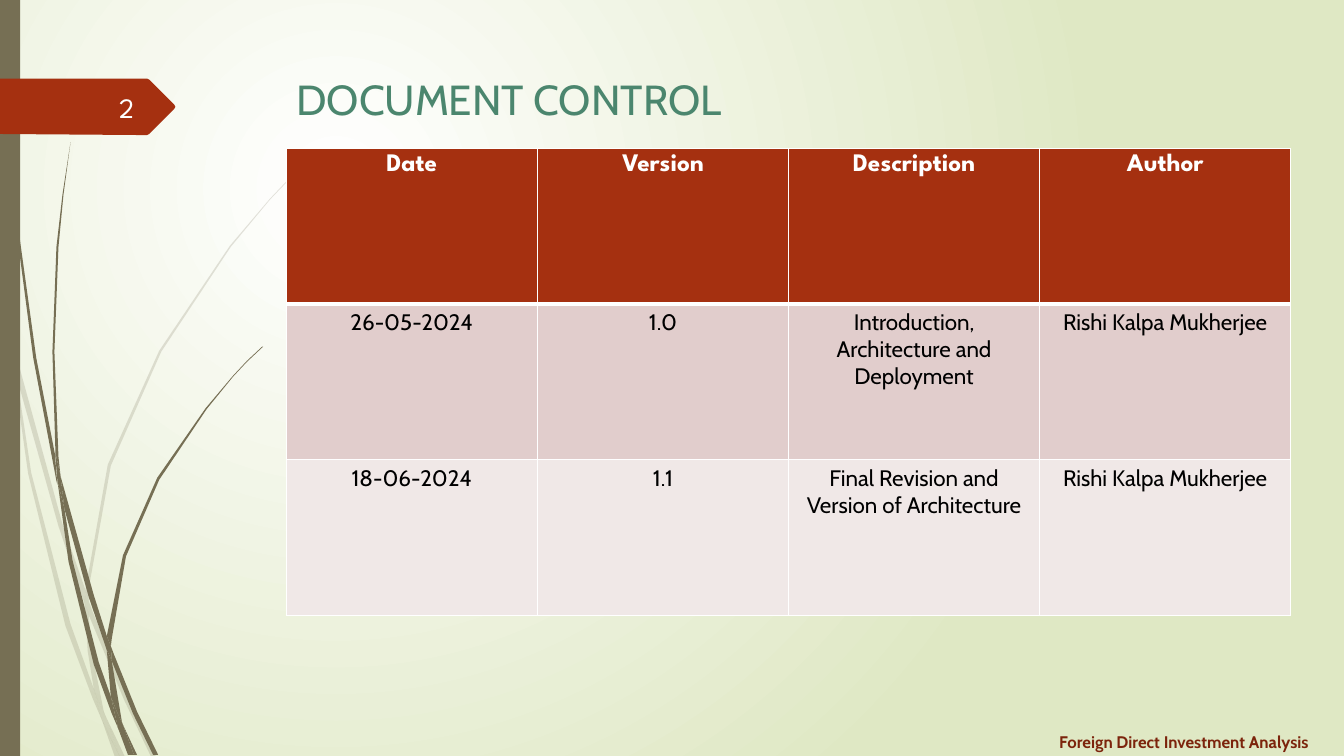
import pptx
import pptx.util
import pptx.dml.color
import pptx.enum.shapes
import pptx.enum.text
import pptx.oxml
import pptx.oxml.ns
from lxml import etree

Pt = pptx.util.Pt
ALIGN = pptx.enum.text.PP_ALIGN
ANCHOR = pptx.enum.text.MSO_ANCHOR

# Content
TITLE = "DOCUMENT CONTROL"
FOOTER = "Foreign Direct Investment Analysis"
PAGE_NUMBER = "2"
ROWS = [
    ("Date", "Version", "Description", "Author"),
    ("26-05-2024", "1.0", "Introduction, Architecture and Deployment", "Rishi Kalpa Mukherjee"),
    ("18-06-2024", "1.1", "Final Revision and Version of Architecture", "Rishi Kalpa Mukherjee"),
]
ROW_FILLS = ("A53010", "E1CDCC", "F0E8E7")
OLIVE, RUST, WHITE = "766F54", "A53010", "FFFFFF"

# Outlines on a fine grid: one unit is 0.72 points
UNIT = 0.72
PALE_GRASS = [
    [(11, 350), (9, 322), (0, 282), (0, 299), (10, 344)],
    [(58, 522), (84, 599), (85, 586), (62, 520), (14, 345), (17, 376)],
    [(92, 607), (88, 596), (88, 610), (123, 694), (150, 751), (155, 751), (127, 692)],
    [(119, 751), (124, 751), (105, 711)],
    [(93, 683), (70, 619), (31, 469), (17, 376), (11, 350), (28, 470), (65, 621),
     (92, 693), (101, 714), (99, 707)],
    [(84, 599), (87, 646), (93, 683), (96, 692), (105, 711), (103, 706), (91, 646),
     (88, 610), (88, 608)],
    [(88, 584), (110, 462), (160, 349), (229, 245), (268, 198), (290, 175), (312, 154),
     (312, 153), (289, 175), (268, 197), (228, 244), (158, 348), (107, 461), (85, 584),
     (85, 586), (88, 596)],
    [(101, 714), (114, 751), (119, 751)],
    [(88, 608), (88, 610), (88, 596), (85, 586), (84, 599)],
    [(96, 692), (93, 683), (99, 707), (101, 714), (119, 751), (105, 711)],
]
DARK_GRASS = [
    [(7, 110), (17, 233), (33, 355), (56, 477), (57, 481), (55, 457), (55, 453),
     (36, 355), (19, 232), (8, 109), (5, 48), (4, 0), (3, 0), (4, 48)],
    [(88, 592), (106, 645), (106, 633), (106, 631), (93, 590), (60, 472), (64, 505)],
    [(113, 649), (110, 641), (111, 656), (132, 708), (152, 749), (157, 749), (136, 706)],
    [(110, 691), (98, 657), (72, 556), (64, 505), (57, 477), (68, 557), (93, 659),
     (111, 708), (117, 722), (116, 717)],
    [(60, 472), (58, 453), (54, 349), (58, 245), (63, 193), (70, 141), (62, 193),
     (56, 245), (52, 349), (55, 449)],
    [(133, 749), (136, 749), (122, 719)],
    [(57, 477), (64, 505), (60, 472), (55, 449), (55, 453)],
    [(111, 633), (125, 552), (158, 476), (205, 406), (231, 374), (245, 359), (261, 344),
     (260, 344), (245, 358), (231, 373), (204, 405), (156, 474), (122, 551), (106, 631),
     (110, 641)],
    [(117, 722), (127, 749), (131, 749)],
    [(106, 645), (110, 691), (116, 706), (122, 719), (121, 716), (111, 656), (109, 651)],
    [(106, 645), (109, 651), (111, 656), (110, 641), (106, 631), (106, 633)],
    [(116, 706), (110, 691), (116, 717), (117, 722), (130, 749), (133, 749), (122, 719)],
]
PAGE_TAG = [(173, 108), (148, 133), (146, 134), (136, 134), (0, 133), (0, 78), (136, 78),
            (146, 78), (148, 79), (173, 104), (174, 106)]


def rgb(value):
    return pptx.dml.color.RGBColor.from_string(value)


def paint(shape, color, opacity=100):
    shape.shadow.inherit = False
    shape.fill.solid()
    shape.fill.fore_color.rgb = rgb(color)
    shape.line.fill.background()
    if opacity < 100:
        tint = shape.fill._xPr.find(".//" + pptx.oxml.ns.qn("a:srgbClr"))
        etree.SubElement(tint, pptx.oxml.ns.qn("a:alpha"), val=str(opacity * 1000))


def draw_outline(shapes, points, color, opacity=100):
    builder = shapes.build_freeform(*points[0], scale=Pt(UNIT))
    builder.add_line_segments(points[1:], close=True)
    paint(builder.convert_to_shape(), color, opacity)


def write(frame, text, font, size, color, align=ALIGN.LEFT, bold=False):
    para = frame.paragraphs[0]
    para.text = text
    para.alignment = align
    para.font.name, para.font.size, para.font.bold = font, Pt(size), bold
    para.font.color.rgb = rgb(color)


def add_label(place, *style):
    frame = page.shapes.add_textbox(*map(Pt, place)).text_frame
    frame.word_wrap = True
    frame.vertical_anchor = ANCHOR.MIDDLE
    write(frame, *style)


def set_borders(cell, widths):
    properties = cell._tc.get_or_add_tcPr()
    for index, (side, width) in enumerate(widths.items()):
        properties.insert(index, pptx.oxml.parse_xml(
            f'<a:ln{side} {pptx.oxml.ns.nsdecls("a")} w="{Pt(width)}"><a:solidFill>'
            f'<a:srgbClr val="{WHITE}"/></a:solidFill></a:ln{side}>'))


deck = pptx.Presentation()
deck.slide_width, deck.slide_height = Pt(960), Pt(540)
page = deck.slides.add_slide(deck.slide_layouts[5])

# Radial background
backdrop = page.background.fill
backdrop.gradient()
for stop, color, position in zip(backdrop.gradient_stops, (WHITE, "DFE8C4"), (0, 1)):
    stop.color.rgb = rgb(color)
    stop.position = position
linear = page._element.find(".//" + pptx.oxml.ns.qn("a:lin"))
linear.getparent().replace(linear, pptx.oxml.parse_xml(
    f'<a:path {pptx.oxml.ns.nsdecls("a")} path="circle">'
    '<a:fillToRect l="50000" t="50000" r="100000" b="100000"/></a:path>'))

# Grass, side bar and page tag
for blades, opacity in ((PALE_GRASS, 20), (DARK_GRASS, 100)):
    tuft = page.shapes.add_group_shape()
    for blade in blades:
        draw_outline(tuft.shapes, blade, OLIVE, opacity)
side_bar = page.shapes.add_shape(
    pptx.enum.shapes.MSO_SHAPE.RECTANGLE, 0, 0, Pt(14.4), Pt(540))
paint(side_bar, OLIVE)
draw_outline(page.shapes, PAGE_TAG, RUST)

# Title, footer and page number
title = page.shapes.title
title.left, title.top, title.width, title.height = map(Pt, (204.5, 49, 702, 66.2))
title.text_frame.auto_size = pptx.enum.text.MSO_AUTO_SIZE.NONE
title.text_frame.vertical_anchor = ANCHOR.TOP
write(title.text_frame, TITLE, "Cabin", 30, "4B866E")
add_label((749.5, 519.8, 211, 20.2), FOOTER, "Cabin", 12, "7C240C", ALIGN.LEFT, True)
add_label((41.8, 61.9, 61.2, 28.8), PAGE_NUMBER, "League Spartan", 20, "FEFFFF", ALIGN.RIGHT)

# Version table
COLUMN_WIDTH, ROW_HEIGHT = 179.4, 111.1
table = page.shapes.add_table(
    len(ROWS), len(ROWS[0]), Pt(204.5), Pt(106.2),
    Pt(COLUMN_WIDTH * len(ROWS[0])), Pt(ROW_HEIGHT * len(ROWS))).table
for row_index, (texts, fill) in enumerate(zip(ROWS, ROW_FILLS)):
    table.rows[row_index].height = Pt(ROW_HEIGHT)
    header = row_index == 0
    style = ("League Spartan", 18, WHITE) if header else ("Cabin", 16, "000000")
    borders = {"L": 1, "R": 1, "T": 3 if row_index == 1 else 1, "B": 3 if header else 1}
    for column_index, text in enumerate(texts):
        cell = table.cell(row_index, column_index)
        cell.fill.solid()
        cell.fill.fore_color.rgb = rgb(fill)
        set_borders(cell, borders)
        write(cell.text_frame, text, *style, ALIGN.CENTER, header)

deck.save("out.pptx")
